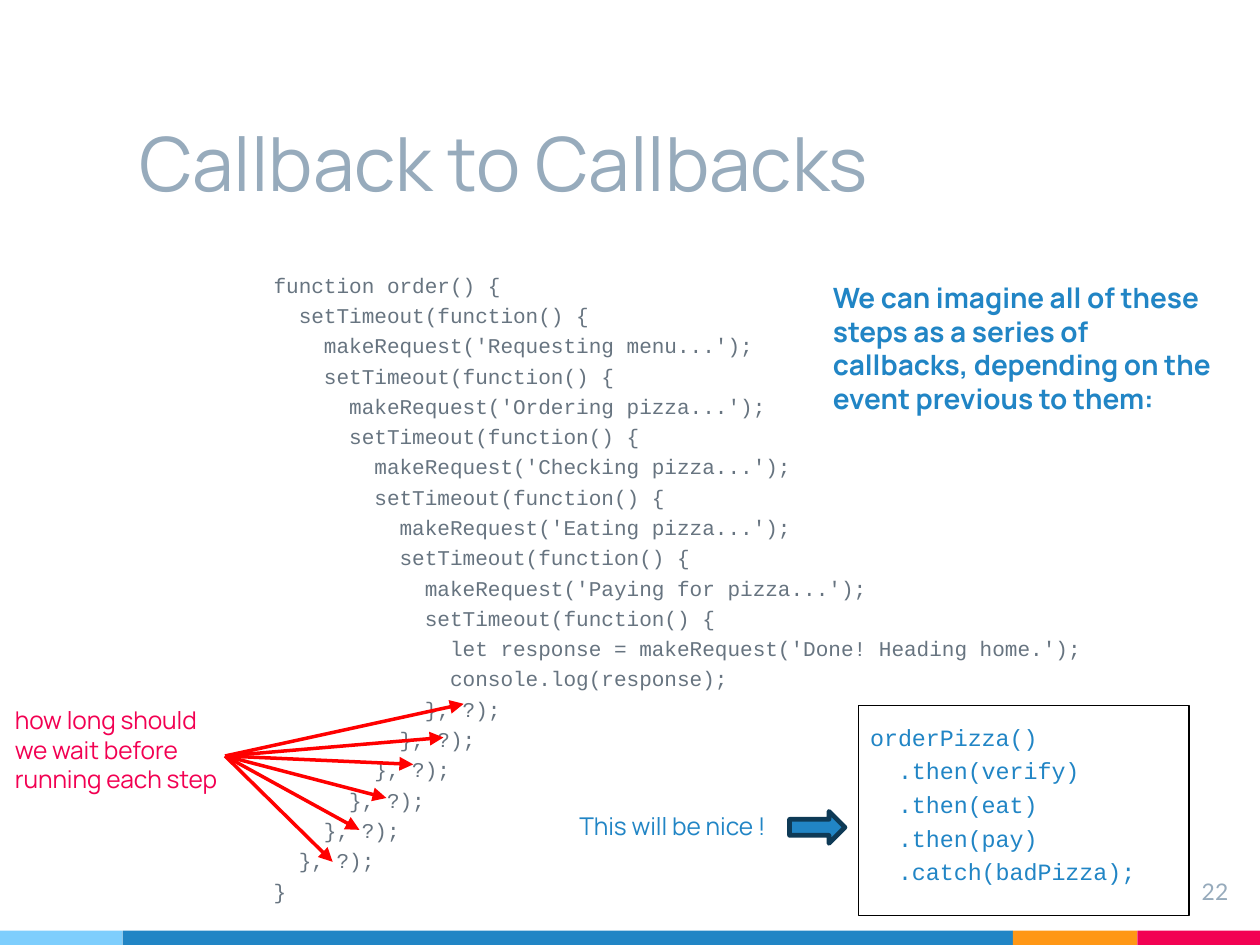
from lxml.etree import SubElement
from pptx import Presentation
from pptx.dml.color import RGBColor
from pptx.enum.shapes import MSO_CONNECTOR as CONN, MSO_SHAPE as SHAPE
from pptx.enum.text import MSO_ANCHOR as ANCHOR, PP_ALIGN as ALIGN
from pptx.oxml.ns import qn
from pptx.util import Inches, Pt

WIDTH = 7.5
HEIGHT = WIDTH * 3 / 4
BLUE = "2185C5"
GREY = "97ABBC"
PINK = "F20253"
RED = "FF0000"

ORDER_CODE = """function order() {
  setTimeout(function() {
    makeRequest('Requesting menu...');
    setTimeout(function() {
      makeRequest('Ordering pizza...');
      setTimeout(function() {
        makeRequest('Checking pizza...');
        setTimeout(function() {
          makeRequest('Eating pizza...');
          setTimeout(function() {
            makeRequest('Paying for pizza...');
            setTimeout(function() {
              let response = makeRequest('Done! Heading home.');
              console.log(response);
            }, ?);
          }, ?);
        }, ?);
      }, ?);
    }, ?);
  }, ?);
}"""

PROMISE_CODE = """orderPizza()
  .then(verify)
  .then(eat)
  .then(pay)
  .catch(badPizza);"""

FOOTER = [(0, 0.73, "7ECEFD"), (0.73, 5.3, BLUE), (6.03, 0.74, "FF9715"), (6.77, 0.73, PINK)]
WAIT_START = (1.34, 4.5)
WAIT_ENDS = [(2.76, 4.19), (2.64, 4.39), (2.46, 4.55), (2.3, 4.75), (2.14, 4.94), (1.98, 5.13)]


def rgb(color):
    """Turn a hex string into a colour."""
    return RGBColor.from_string(color)


def write(s, text, size, color, font="Manrope", insets=(0.1, 0.1), bold=False,
          spacing=None, align=ALIGN.LEFT, anchor=ANCHOR.TOP):
    """Fill a shape with formatted text, one paragraph a line."""
    tf = s.text_frame
    tf.word_wrap = True
    tf.vertical_anchor = anchor
    tf.margin_left = tf.margin_right = Inches(insets[0])
    tf.margin_top = tf.margin_bottom = Inches(insets[1])
    tf.text = text
    for p in tf.paragraphs:
        p.alignment = align
        p.line_spacing = spacing
        for r in p.runs:
            r.font.name = font
            r.font.size = Pt(size)
            r.font.bold = bold
            r.font.color.rgb = rgb(color)


def add_text(slide, box, text, size, color, **style):
    """Add a text box."""
    s = slide.shapes.add_textbox(*map(Inches, box))
    write(s, text, size, color, **style)


def add_label(slide, box, text, size, color, bold=False):
    """Add a note with slim margins above and below."""
    add_text(slide, box, text, size, color, bold=bold, insets=(0.1, 0.05))


def add_block(slide, kind, box, fill=None, line=None, width=0):
    """Add a preset shape with an optional fill and outline."""
    s = slide.shapes.add_shape(kind, *map(Inches, box))
    s.shadow.inherit = False
    if fill:
        s.fill.solid()
        s.fill.fore_color.rgb = rgb(fill)
    else:
        s.fill.background()
    if line:
        s.line.color.rgb = rgb(line)
        s.line.width = Pt(width)
    else:
        s.line.fill.background()
    return s


def add_arrow(slide, start, end):
    """Add a red line with an arrowhead at its end."""
    s = slide.shapes.add_connector(CONN.STRAIGHT, *map(Inches, start + end))
    s.line.color.rgb = rgb(RED)
    s.line.width = Pt(1.5)
    props = s._element.spPr
    SubElement(props.find(qn("a:ln")), qn("a:tailEnd"), type="triangle")
    SubElement(props, qn("a:effectLst"))


def main():
    """Build the slide and save it."""
    prs = Presentation()
    prs.slide_width = Inches(WIDTH)
    prs.slide_height = Inches(HEIGHT)
    slide = prs.slides.add_slide(prs.slide_layouts[6])

    for left, width, color in FOOTER:
        add_block(slide, SHAPE.RECTANGLE, (left, 5.54, width, HEIGHT - 5.54), color)

    add_text(slide, (1.53, 1.49, 5.42, 3.88), ORDER_CODE, 9, "677480",
             font="Courier New", spacing=1.2)
    add_text(slide, (6.96, 5.14, 0.45, 0.34), "22", 9.8, GREY, font="Lato", align=ALIGN.RIGHT)
    add_text(slide, (0.73, 0.39, 6.22, 0.94), "Callback to Callbacks", 32, GREY,
             anchor=ANCHOR.BOTTOM)

    for end in WAIT_ENDS:
        add_arrow(slide, WAIT_START, end)
    add_label(slide, (-0.01, 4.15, 1.41, 0.63),
              "how long should we wait before running each step", 10.5, "F20052")
    add_label(slide, (4.86, 1.62, 2.54, 0.91),
              "We can imagine all of these steps as a series of callbacks, "
              "depending on the event previous to them:", 12, BLUE, bold=True)

    promise = add_block(slide, SHAPE.RECTANGLE, (5.11, 4.2, 1.97, 1.25), line="000000", width=0.75)
    write(promise, PROMISE_CODE, 10, BLUE, font="Courier New", insets=(0.07, 0.07), spacing=1.2)
    add_label(slide, (3.35, 4.78, 1.41, 0.28), "This will be nice !", 10.5, BLUE)
    add_block(slide, SHAPE.RIGHT_ARROW, (4.7, 4.83, 0.33, 0.19), BLUE, "0E3A56", 2)

    prs.save("out.pptx")


if __name__ == "__main__":
    main()
